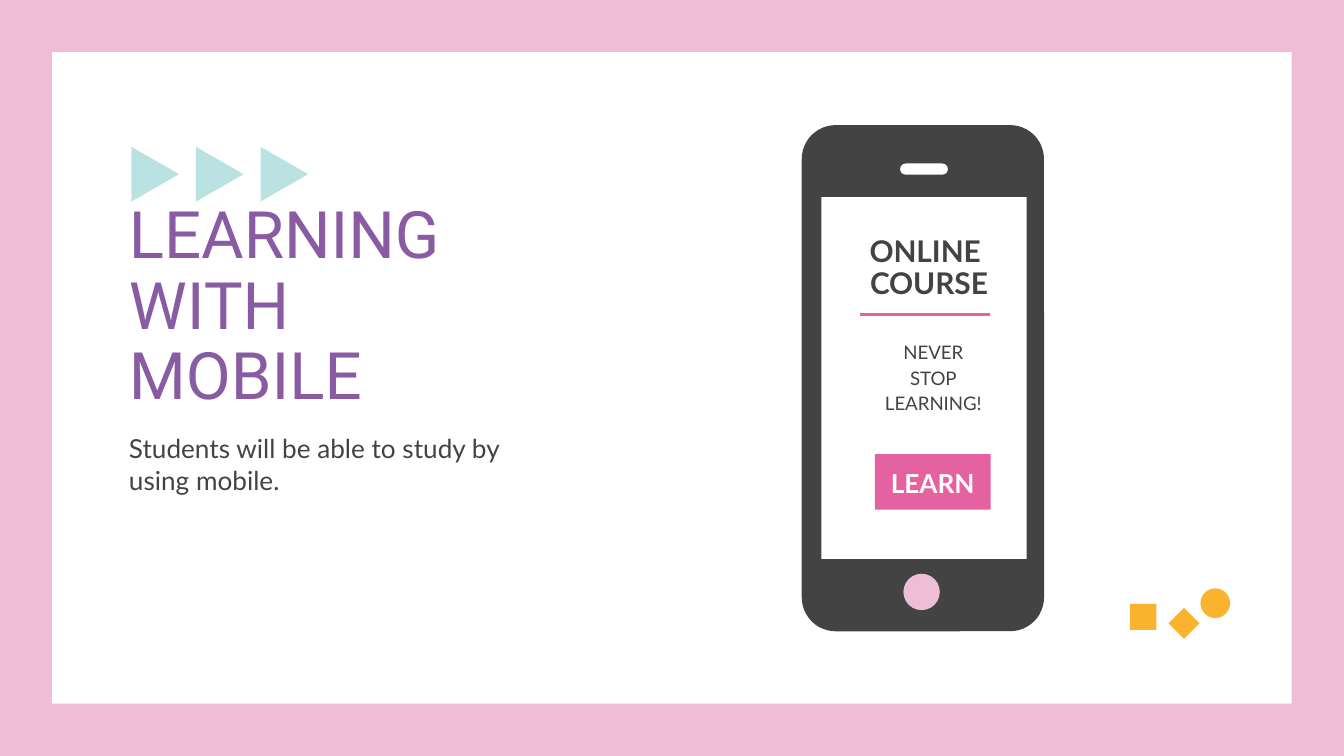
import pptx
import pptx.dml.color
import pptx.enum.shapes
import pptx.enum.text
import pptx.oxml.ns
import pptx.util
from lxml import etree

Pt = pptx.util.Pt
KIND = pptx.enum.shapes.MSO_SHAPE
ALIGN = pptx.enum.text.PP_ALIGN
ANCHOR = pptx.enum.text.MSO_ANCHOR
PINK, ROSE, DARK, WHITE = "EEBDD6", "E562A0", "434343", "FFFFFF"
PURPLE, AQUA, AMBER = "885BA2", "BBE2E2", "FAB32E"


def tint(target, color):
    """Give a fill one solid colour."""
    target.solid()
    target.fore_color.rgb = pptx.dml.color.RGBColor.from_string(color)


def add_form(slide, kind, box, color):
    """Add a plain filled shape without line or shadow."""
    form = slide.shapes.add_shape(kind, *map(Pt, box))
    form.shadow.inherit = False
    tint(form.fill, color)
    form.line.fill.background()
    return form


def set_text(shape, lines, size, color, font="Lato", bold=False,
             aligns=(ALIGN.LEFT,), anchor=ANCHOR.TOP, space=1.0):
    """Write one paragraph per line, cycling through the alignments."""
    frame = shape.text_frame
    frame.word_wrap = True
    frame.vertical_anchor = anchor
    frame.margin_left = frame.margin_right = Pt(7.2)
    frame.margin_top = frame.margin_bottom = Pt(7.2)
    for i, line in enumerate(lines):
        para = frame.add_paragraph() if i else frame.paragraphs[0]
        para.text = line
        para.alignment = aligns[i % len(aligns)]
        para.line_spacing = space
        para.font.name = font
        para.font.size = Pt(size)
        para.font.bold = bold
        tint(para.font.fill, color)


def add_text(slide, box, lines, size, color, **style):
    """Add a text box."""
    set_text(slide.shapes.add_textbox(*map(Pt, box)), lines, size, color, **style)


def add_rule(slide, left, top, width):
    """Add a thin level line."""
    rule = slide.shapes.add_connector(
        pptx.enum.shapes.MSO_CONNECTOR.STRAIGHT,
        Pt(left), Pt(top), Pt(left + width), Pt(top))
    tint(rule.line.fill, ROSE)
    rule.line.width = Pt(1.5)
    props = rule._element.spPr
    etree.SubElement(props, pptx.oxml.ns.qn("a:effectLst"))


def add_arrows(slide, left, top, count=3, step=34.6):
    """Add a row of triangles that point right."""
    for i in range(count):
        box = (left + i * step, top, 29.3, 25.5)
        add_form(slide, KIND.ISOSCELES_TRIANGLE, box, AQUA).rotation = 90


def add_intro(slide, left, top, width):
    """Add the arrows, the title and the sentence below it."""
    add_text(slide, (left, top + 50.4, width, 98), ["LEARNING WITH\vMOBILE"],
             35, PURPLE, font="Roboto", anchor=ANCHOR.BOTTOM, space=0.9)
    add_text(slide, (left, top + 144, width, 64.8),
             ["Students will be able to study by using mobile."], 14, DARK)
    add_arrows(slide, left + 6.5, top)


def add_phone(slide, left, top, width, height):
    """Add the phone with its screen, slot and button."""
    body = add_form(slide, KIND.ROUNDED_RECTANGLE, (left, top, width, height), DARK)
    body.adjustments[0] = 0.14
    add_form(slide, KIND.RECTANGLE, (left + 10.5, top + 38.6, 110, 193.8), WHITE)
    slot = add_form(slide, KIND.ROUNDED_RECTANGLE,
                    (left + 52.7, top + 20.6, 25.6, 6), WHITE)
    slot.adjustments[0] = 0.5
    add_form(slide, KIND.OVAL, (left + 54.5, top + 240.4, 19.5, 19.5), PINK)


def add_course(slide, left, top):
    """Add the course page on the phone screen."""
    add_text(slide, (left, top, 81.4, 51.8), ["ONLINE", "COURSE"], 16, DARK,
             bold=True, aligns=(ALIGN.CENTER, ALIGN.RIGHT),
             anchor=ANCHOR.BOTTOM, space=0.9)
    add_rule(slide, left + 5.8, top + 51.8, 69.8)
    add_text(slide, (left, top + 56.9, 90, 64.8), ["NEVER", "STOP", "LEARNING!"],
             10, DARK, aligns=(ALIGN.CENTER,), space=1.15)
    button = add_form(slide, KIND.RECTANGLE,
                      (left + 13.7, top + 126.7, 62, 29.8), ROSE)
    set_text(button, ["LEARN"], 14, WHITE, bold=True, aligns=(ALIGN.CENTER,))


def add_marks(slide, left, top):
    """Add the three small corner shapes."""
    marks = ((KIND.DIAMOND, 20.5, 10.5, 16.6), (KIND.RECTANGLE, 0, 8.3, 14),
             (KIND.OVAL, 37.6, 0, 15.9))
    for kind, x, y, side in marks:
        add_form(slide, kind, (left + x, top + y, side, side), AMBER)


def main():
    """Build and save the slide."""
    deck = pptx.Presentation()
    deck.slide_width, deck.slide_height = Pt(720), Pt(405)
    slide = deck.slides.add_slide(deck.slide_layouts[6])
    tint(slide.background.fill, PINK)
    add_form(slide, KIND.RECTANGLE, (28, 28, 664, 349), WHITE)
    add_intro(slide, 62, 80.6, 238.3)
    add_phone(slide, 429.5, 67, 129.8, 271.2)
    add_course(slide, 455, 116.6)
    add_marks(slide, 605.5, 315.2)
    deck.save("out.pptx")


if __name__ == "__main__":
    main()
